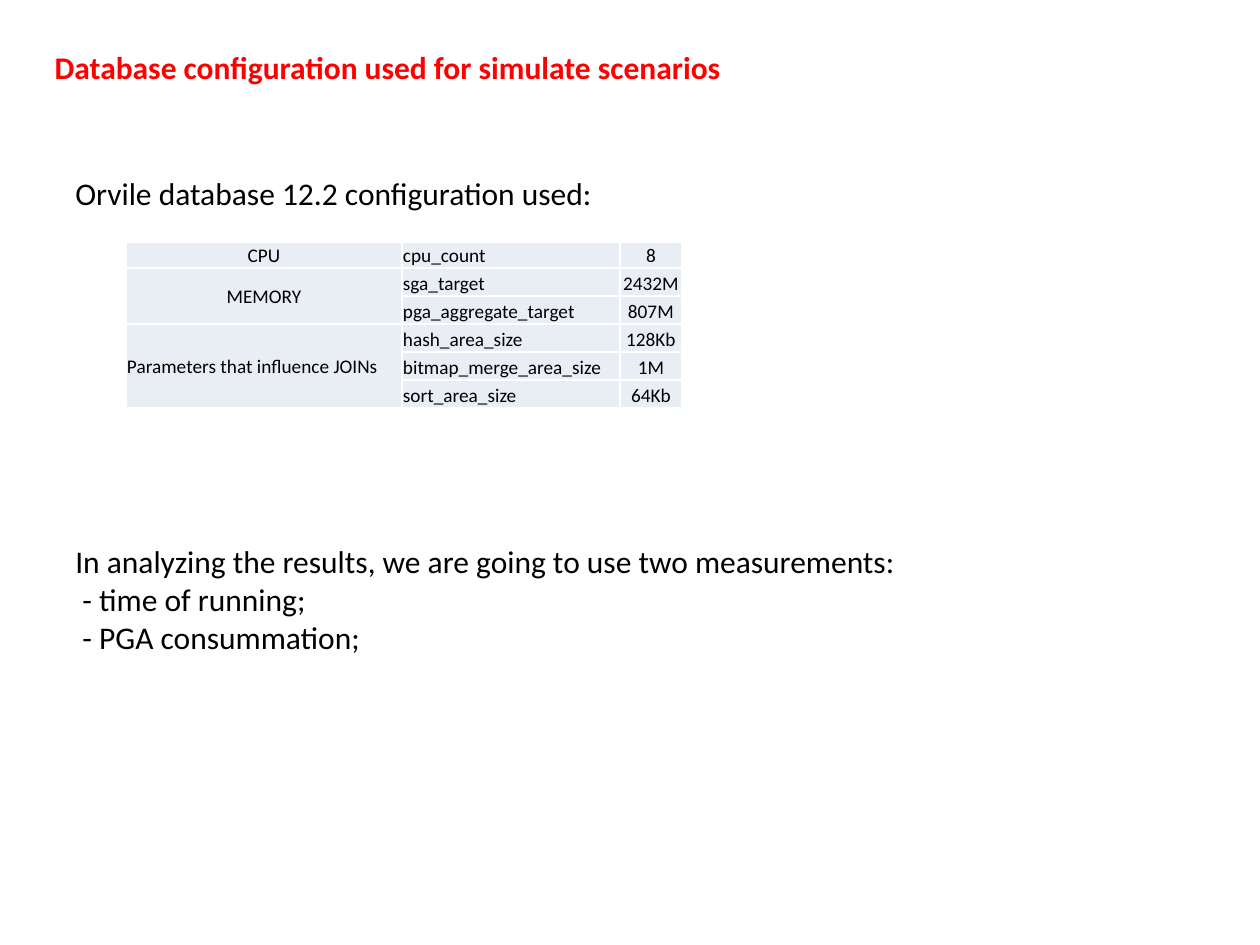
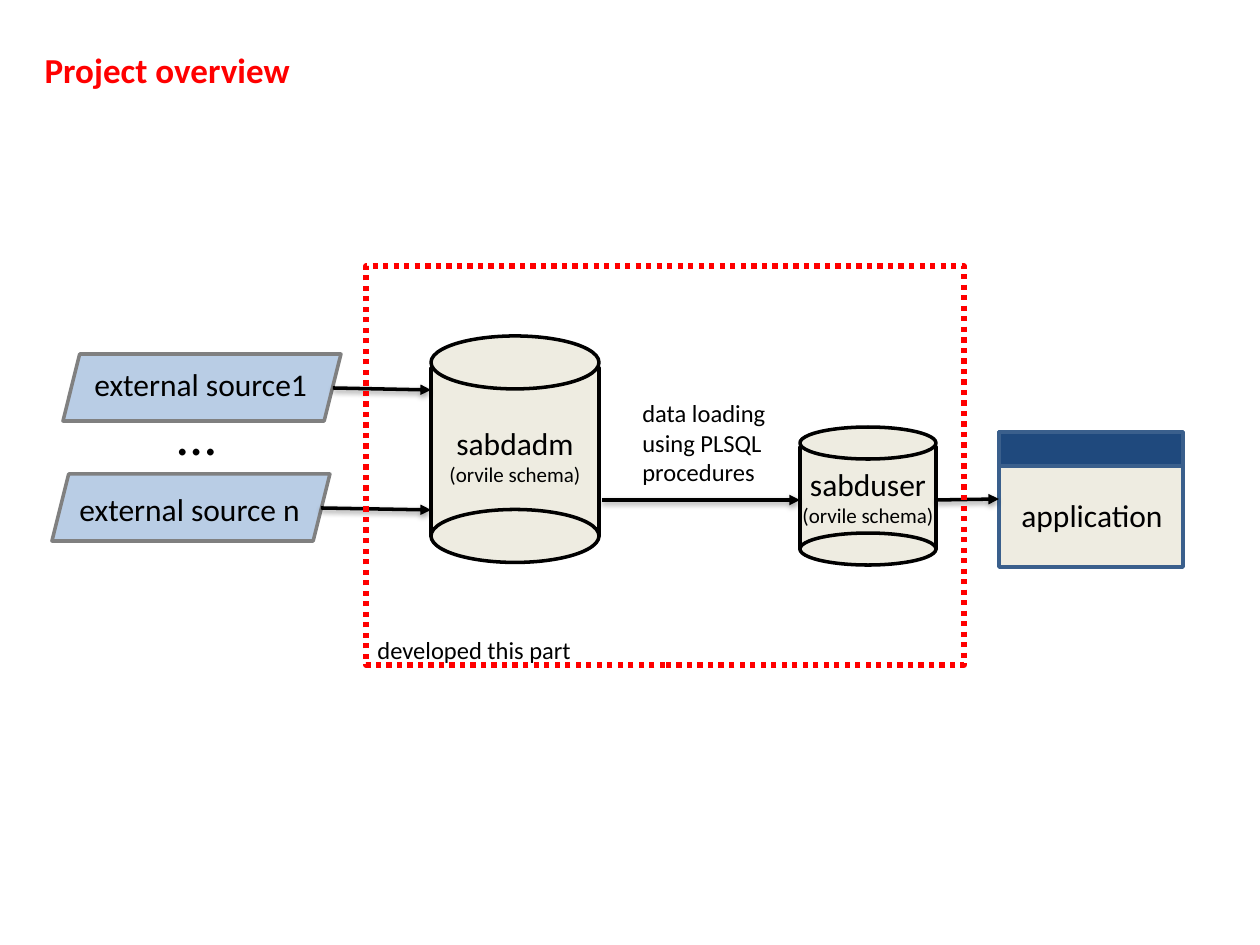
import pptx
import pptx.dml.color
import pptx.enum.dml
import pptx.enum.shapes
import pptx.enum.text
import pptx.oxml
import pptx.oxml.ns
import pptx.util

SCALE = 914400 / 126  # EMU in one pixel
FONT = "Calibri"
RGBColor = pptx.dml.color.RGBColor
BLACK = RGBColor(0x00, 0x00, 0x00)
RED = RGBColor(0xFF, 0x00, 0x00)
GRAY = RGBColor(0x80, 0x80, 0x80)
CELL = RGBColor(0xE9, 0xED, 0xF4)
CREAM = RGBColor(0xEE, 0xEC, 0xE1)
LIGHT_BLUE = RGBColor(0xB9, 0xCD, 0xE5)
NAVY = RGBColor(0x1F, 0x49, 0x7D)
STEEL = RGBColor(0x3A, 0x5F, 0x8C)
SHAPES = pptx.enum.shapes.MSO_SHAPE
ANCHOR = pptx.enum.text.MSO_ANCHOR
ALIGN = pptx.enum.text.PP_ALIGN


def write(frame, lines, color=BLACK, bold=False, align=ALIGN.LEFT):
    """Fill a text frame with one paragraph per (text, size) line."""
    for index, (text, size) in enumerate(lines):
        paragraph = frame.add_paragraph() if index else frame.paragraphs[0]
        paragraph.alignment = align
        run = paragraph.add_run()
        run.text = text
        run.font.name = FONT
        run.font.size = pptx.util.Pt(size)
        run.font.bold = bold
        run.font.color.rgb = color


def add_block(slide, kind, box, fill, line, width=2):
    """Add a preset shape; no fill colour leaves it open."""
    shape = slide.shapes.add_shape(kind, *[round(v * SCALE) for v in box])
    shape.shadow.inherit = False
    if fill is None:
        shape.fill.background()
    else:
        shape.fill.solid()
        shape.fill.fore_color.rgb = fill
    shape.line.color.rgb = line
    shape.line.width = pptx.util.Pt(width)
    return shape


presentation = pptx.Presentation()
presentation.slide_width = round(1260 * SCALE)
presentation.slide_height = round(945 * SCALE)

# Slides with their red titles
titles = [
    ("Database configuration used for simulate scenarios", 18, (42, 42, 697, 50)),
    ("Project overview", 20, (32, 42, 272, 55)),
]
slides = []
for text, size, box in titles:
    slide = presentation.slides.add_slide(presentation.slide_layouts[5])
    title = slide.shapes.title
    title.left, title.top, title.width, title.height = [round(v * SCALE) for v in box]
    title.text_frame.word_wrap = False
    title.text_frame.auto_size = pptx.enum.text.MSO_AUTO_SIZE.NONE
    title.text_frame.vertical_anchor = ANCHOR.TOP
    write(title.text_frame, [(text, size)], RED, True)
    slides.append(slide)
configuration, overview = slides

# Configuration table
rows = [
    ("CPU", "cpu_count", "8"),
    ("MEMORY", "sga_target", "2432M"),
    ("", "pga_aggregate_target", "807M"),
    ("Parameters that influence JOINs", "hash_area_size", "128Kb"),
    ("", "bitmap_merge_area_size", "1M"),
    ("", "sort_area_size", "64Kb"),
]
column_widths = [276, 218, 62]
row_heights = [26] + [28] * 5
table = configuration.shapes.add_table(
    len(rows), len(column_widths), round(126 * SCALE), round(242 * SCALE),
    round(sum(column_widths) * SCALE), round(sum(row_heights) * SCALE)).table
table.first_row = False
table.horz_banding = False
for column, width in zip(table.columns, column_widths):
    column.width = round(width * SCALE)
for row, height in zip(table.rows, row_heights):
    row.height = round(height * SCALE)
for first, last in [(1, 2), (3, 5)]:
    table.cell(first, 0).merge(table.cell(last, 0))

for r, texts in enumerate(rows):
    for c, text in enumerate(texts):
        cell = table.cell(r, c)
        cell.margin_left = cell.margin_right = cell.margin_top = round(SCALE)
        cell.margin_bottom = 0
        middle = c == 0 or (r, c) == (0, 2)
        cell.vertical_anchor = ANCHOR.MIDDLE if middle else ANCHOR.BOTTOM
        cell.fill.solid()
        cell.fill.fore_color.rgb = CELL
        left = c == 1 or (r, c) == (3, 0)
        if text:
            write(cell.text_frame, [(text, 11)], align=ALIGN.LEFT if left else ALIGN.CENTER)
        properties = cell._tc.get_or_add_tcPr()
        for position, side in enumerate("LRTB"):
            properties.insert(position, pptx.oxml.parse_xml(
                f'<a:ln{side} {pptx.oxml.ns.nsdecls("a")} w="12700"><a:solidFill>'
                f'<a:srgbClr val="FFFFFF"/></a:solidFill></a:ln{side}>'))

# External sources
for box in [(52, 474, 278, 67), (63, 354, 278, 67)]:
    add_block(overview, SHAPES.PARALLELOGRAM, box, LIGHT_BLUE, GRAY)

# Database cylinders: body, then top and bottom caps
for left, width, body_top, body_height, cap_top, cap_height in [
    (431, 168, 368, 168, 336, 53),
    (800, 136, 447, 102, 427, 32),
]:
    base_top = body_top + body_height - cap_height / 2
    add_block(overview, SHAPES.RECTANGLE, (left, body_top, width, body_height), CREAM, BLACK)
    for top in (cap_top, base_top):
        add_block(overview, SHAPES.OVAL, (left, top, width, cap_height), CREAM, BLACK)

# Application window with its title bar
for height, fill in [(135, CREAM), (34, NAVY)]:
    add_block(overview, SHAPES.RECTANGLE, (999, 432, 184, height), fill, STEEL)

# Data flow arrows, which keep the soft shadow of the theme
for points in [
    (333, 388, 431, 390),
    (321, 508, 431, 510),
    (602, 500, 800, 500),
    (936, 500, 999, 499),
]:
    arrow = overview.shapes.add_connector(
        pptx.enum.shapes.MSO_CONNECTOR.STRAIGHT, *[round(v * SCALE) for v in points])
    arrow.line.color.rgb = BLACK
    arrow.line.width = pptx.util.Pt(2)
    arrow.line._get_or_add_ln().append(pptx.oxml.parse_xml(
        f'<a:tailEnd {pptx.oxml.ns.nsdecls("a")} type="triangle"/>'))

# Frame around the developed part
frame = add_block(overview, SHAPES.RECTANGLE, (366, 266, 598, 399), None, RED, 3)
frame.line.dash_style = pptx.enum.dml.MSO_LINE.ROUND_DOT

# Text on both slides; the schema labels are wider than their text needs
schema = ("(orvile schema)", 12)
labels = [
    (configuration, (63, 168, 577, 50), ALIGN.LEFT,
     [("Orvile database 12.2 configuration used:", 18)]),
    (configuration, (63, 536, 856, 127), ALIGN.LEFT,
     [("In analyzing the results, we are going to use two measurements:", 18),
      (" - time of running;", 18), (" - PGA consummation;", 18)]),
    (overview, (415, 418, 200, 77), ALIGN.CENTER, [("sabdadm", 18), schema]),
    (overview, (768, 459, 200, 77), ALIGN.CENTER, [("sabduser", 18), schema]),
    (overview, (1009, 490, 169, 50), ALIGN.LEFT, [("application", 18)]),
    (overview, (82, 359, 241, 50), ALIGN.LEFT, [("external source1", 18)]),
    (overview, (165, 393, 64, 81), ALIGN.LEFT, [("…", 32)]),
    (overview, (67, 484, 248, 50), ALIGN.LEFT, [("external source n", 18)]),
    (overview, (630, 392, 151, 102), ALIGN.LEFT,
     [("data loading", 14), ("using PLSQL", 14), ("procedures", 14)]),
    (overview, (365, 629, 222, 43), ALIGN.LEFT, [("developed this part", 14)]),
]
for slide, box, align, lines in labels:
    textbox = slide.shapes.add_textbox(*[round(v * SCALE) for v in box])
    textbox.text_frame.word_wrap = False
    write(textbox.text_frame, lines, align=align)

presentation.save("out.pptx")
